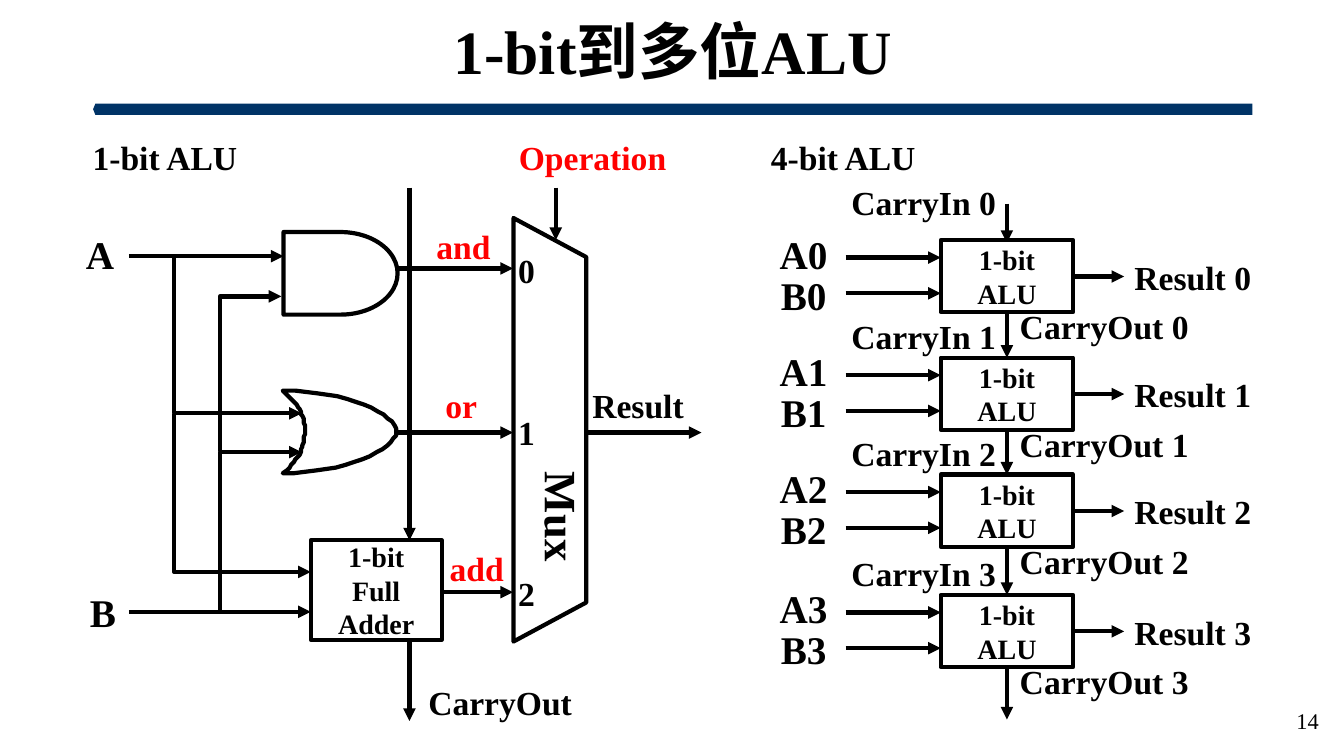
from lxml.etree import SubElement
from pptx import Presentation
from pptx.dml.color import RGBColor
from pptx.enum.shapes import MSO_CONNECTOR as Link, MSO_SHAPE as Preset
from pptx.enum.text import MSO_ANCHOR as Anchor, PP_ALIGN as Align
from pptx.oxml.ns import qn
from pptx.util import Pt

BLACK = RGBColor(0, 0, 0)
WHITE = RGBColor(255, 255, 255)
RED = RGBColor(255, 0, 0)
NAVY = RGBColor(0, 51, 102)
FONT = "Times New Roman"
SLICE_TOPS = (171.5, 255.5, 339, 425)
SLICE_HEIGHT = 51.5
CARRY_X = 719.25


def write(frame, text, size=24, color=BLACK, bold=True, align=Align.CENTER, spacing=1.0, wrap=False):
    """Fill a text frame with one paragraph per line of text."""
    frame.margin_left = frame.margin_right = frame.margin_top = frame.margin_bottom = 0
    frame.vertical_anchor = Anchor.MIDDLE
    frame.word_wrap = wrap
    frame.text = text
    for paragraph in frame.paragraphs:
        paragraph.alignment = align
        paragraph.line_spacing = spacing
        font = paragraph.font
        font.name, font.size, font.bold = FONT, Pt(size), bold
        font.color.rgb = color


def label(slide, text, x, y, width, height=29, **style):
    """Place a text label and return its frame."""
    frame = slide.shapes.add_textbox(Pt(x), Pt(y), Pt(width), Pt(height)).text_frame
    write(frame, text, **style)
    return frame


def outline(part, fill=WHITE, line=BLACK):
    """Give a shape a flat fill and a thick border."""
    part.shadow.inherit = False
    part.fill.solid()
    part.fill.fore_color.rgb = fill
    part.line.color.rgb = line
    part.line.width = Pt(3)


def block(slide, preset, x, y, width, height, text=""):
    """Draw an outlined preset shape with optional text."""
    part = slide.shapes.add_shape(preset, Pt(x), Pt(y), Pt(width), Pt(height))
    outline(part)
    if text:
        write(part.text_frame, text, size=20)
    return part


def wire(slide, x1, y1, x2, y2, bent=False):
    """Draw an arrow, going vertically first when bent."""
    kind = Link.ELBOW if bent else Link.STRAIGHT
    arrow = slide.shapes.add_connector(kind, Pt(x1), Pt(y1), Pt(x2), Pt(y2))
    arrow.line.color.rgb = BLACK
    arrow.line.width = Pt(3)
    properties = arrow._element.spPr
    if bent:
        guides = properties.find(qn("a:prstGeom")).get_or_add_avLst()
        SubElement(guides, qn("a:gd"), name="adj1", fmla="val 0")
    SubElement(properties.find(qn("a:ln")), qn("a:tailEnd"), type="triangle")
    SubElement(properties, qn("a:effectLst"))


def bezier(start, control1, control2, end, steps=16):
    """Return the points along a cubic curve after its start."""
    points = []
    for step in range(1, steps + 1):
        t = step / steps
        weights = ((1 - t) ** 3, 3 * t * (1 - t) ** 2, 3 * t * t * (1 - t), t ** 3)
        points.append(tuple(sum(w * p[axis] for w, p in zip(weights, (start, control1, control2, end)))
                            for axis in (0, 1)))
    return points


def or_gate(slide):
    """Draw the OR gate outline."""
    top, nose, bottom, hollow = (202.3, 279.4), (283, 308.6), (202.3, 338.4), (218, 308.3)
    edge = (bezier(top, (247.7, 278.6), (283.7, 295.9), nose)
            + bezier(nose, (283, 321.1), (246.2, 337.7), bottom)
            + bezier(bottom, (215.3, 326.2), (216.7, 319), hollow)
            + bezier(hollow, (216.7, 296.6), (216, 291.6), top))
    builder = slide.shapes.build_freeform(*top, scale=Pt(1))
    builder.add_line_segments(edge, close=True)
    outline(builder.convert_to_shape())


def header(slide):
    """Draw the title, its rule and the page number."""
    rule = slide.shapes.add_shape(Preset.PENTAGON, Pt(66.5), Pt(74), Pt(828), Pt(8))
    rule.adjustments[0] = 0.2
    rule.rotation = 180
    outline(rule, fill=NAVY)
    rule.line.fill.background()
    label(slide, "1-bit到多位ALU", 66.5, 9.5, 828, 59, size=44, spacing=0.9, wrap=True)
    label(slide, "14", 740, 500.5, 202, 29, size=16, bold=False, align=Align.RIGHT, wrap=True)


def one_bit_alu(slide):
    """Draw the gates, adder and multiplexer of one bit."""
    label(slide, "1-bit ALU", 65.5, 98, 104.5)
    block(slide, Preset.FLOWCHART_DELAY, 202.5, 165.75, 81.5, 59)
    or_gate(slide)
    block(slide, Preset.RECTANGLE, 222, 386, 93.5, 71, "1-bit\nFull\nAdder")
    mux = block(slide, Preset.TRAPEZOID, 241.5, 281, 302.5, 52)
    mux.adjustments[0] = 0.537
    mux.rotation = 90
    for number, y in enumerate((178.5, 294, 409)):
        label(slide, str(number), 370, y, 12)
    mux_name = label(slide, "Mux", 382.5, 337, 39, 65, size=32)
    mux_name._txBody.bodyPr.set("vert", "eaVert")

    for ends in ((92, 183, 202.5, 183), (92, 437, 222, 437),
                 (292.5, 134, 292.5, 386), (292.5, 457, 292.5, 515),
                 (283, 191.75, 366.5, 191.75), (283, 309, 366.5, 309),
                 (315.5, 423, 366.5, 423), (418.5, 309, 501, 309),
                 (397, 134, 397, 171.5)):
        wire(slide, *ends)
    for ends in ((124.5, 183, 215.5, 295.25), (124.5, 296, 222, 408.5),
                 (157, 437, 215.5, 323), (157, 322, 201, 211.75)):
        wire(slide, *ends, bent=True)

    label(slide, "A", 56, 164, 31, 34, size=28)
    label(slide, "B", 58, 420, 31, 34, size=28)
    label(slide, "CarryOut", 305.5, 487, 103.5)
    label(slide, "Result", 422.5, 275, 66.5)
    for text, x, y, width in (("Operation", 370, 98, 106.5), ("and", 311.5, 161.5, 39),
                              ("or", 318, 275, 23), ("add", 314.5, 391.5, 52)):
        label(slide, text, x, y, width, color=RED)


def four_bit_alu(slide):
    """Draw the chain of four one-bit slices."""
    label(slide, "4-bit ALU", 550, 98, 104.5)
    wire(slide, CARRY_X, 145.5, CARRY_X, 173.5)
    carry_ends = SLICE_TOPS[1:] + (514,)
    for bit, (top, carry_end) in enumerate(zip(SLICE_TOPS, carry_ends)):
        block(slide, Preset.RECTANGLE, 672, top, 94.5, SLICE_HEIGHT, "1-bit\nALU")
        for operand, wire_y, label_y in (("A", 12.5, -7.5), ("B", 38, 21.75)):
            wire(slide, 604, top + wire_y, 672, top + wire_y)
            label(slide, f"{operand}{bit}", 554.5, top + label_y, 39, 34, size=28)
        wire(slide, 766.5, top + 26, 803, top + 26)
        label(slide, f"Result {bit}", 810, top + 11.75, 84)
        wire(slide, CARRY_X, top + SLICE_HEIGHT, CARRY_X, carry_end)
        label(slide, f"CarryIn {bit}", 607.5, top - (30.25 if bit else 42), 104.5)
        label(slide, f"CarryOut {bit}", 728, top + 47, 121.5)


def main():
    """Build the slide and save it."""
    deck = Presentation()
    deck.slide_width, deck.slide_height = Pt(960), Pt(540)
    slide = deck.slides.add_slide(deck.slide_layouts[6])
    header(slide)
    one_bit_alu(slide)
    four_bit_alu(slide)
    deck.save("out.pptx")


if __name__ == "__main__":
    main()
